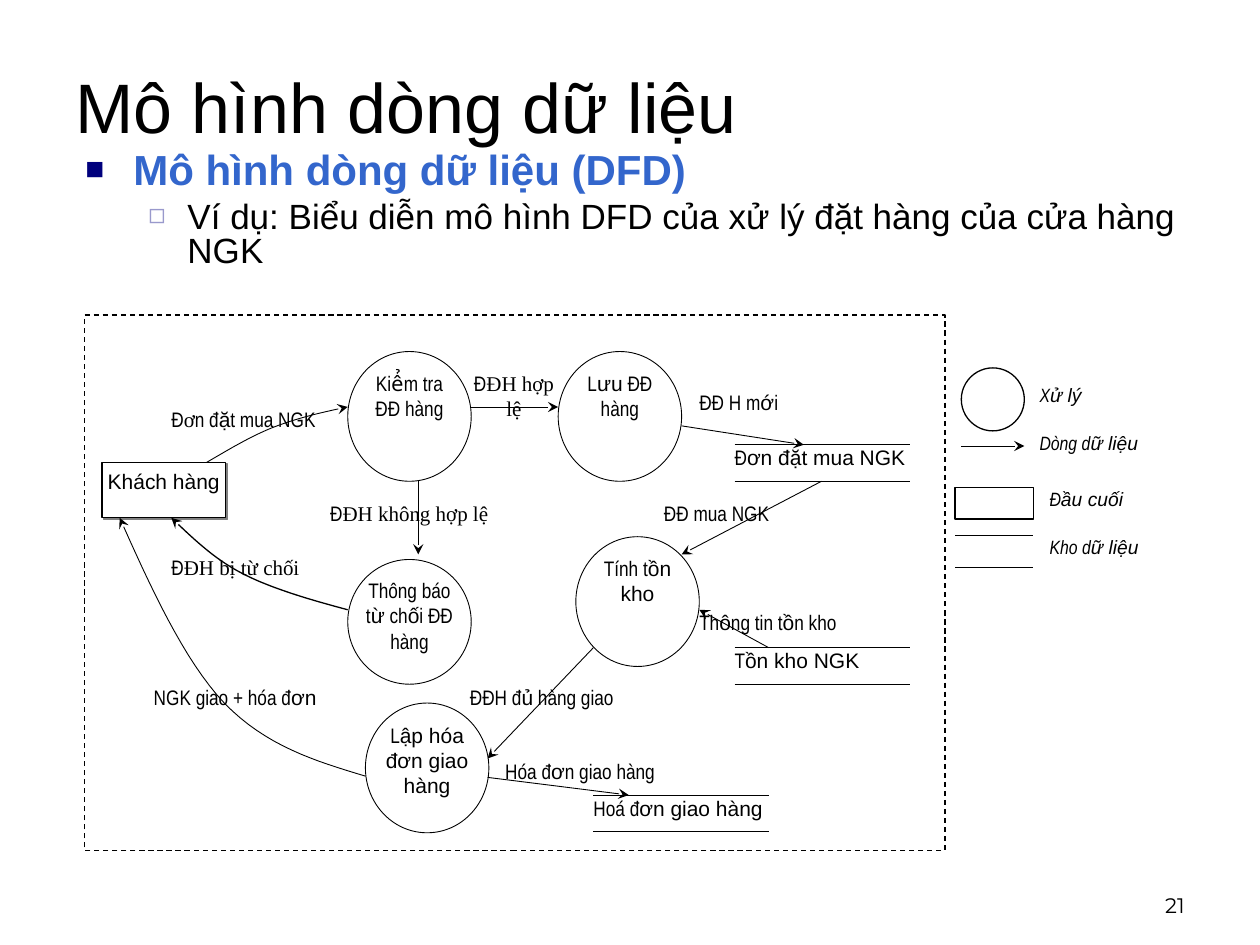
from itertools import cycle

from lxml.etree import SubElement
from pptx import Presentation
from pptx.dml.color import RGBColor
from pptx.enum.dml import MSO_LINE
from pptx.enum.shapes import MSO_CONNECTOR, MSO_SHAPE
from pptx.enum.text import MSO_ANCHOR, PP_ALIGN
from pptx.oxml.ns import qn
from pptx.util import Inches, Pt

COLORS = {"ink": "000000", "paper": "FFFFFF", "heading": "3366CC",
          "square": "00007D", "box": "9999CC", "shadow": "808080"}
NARROW, SANS, SERIF, MONO = "Arial Narrow", "Arial", "Times New Roman", "Noto Sans Mono"
CIRCLE_WIDTH, STORE_WIDTH, STORE_HEIGHT = 0.98, 1.39, 0.29

PROCESSES = [
    (2.76, 2.79, 1.03, "Ki|ể|m tra ĐĐ hàng", MONO),
    (2.76, 4.44, 0.99, "Thông báo t|ừ| ch|ố|i ĐĐ hàng", SANS),
    (4.43, 2.79, 1.03, "L|ưu| ĐĐ hàng", SANS),
    (4.57, 4.26, 1.03, "Tính t|ồn kho", SANS),
    (2.9, 5.58, 1.03, "L|ập hóa đơn giao hàng", SANS),
]
STORES = [
    (5.83, 3.53, "Đ|ơn đặt mua NGK"),
    (5.83, 5.14, "T|ồn kho NGK"),
    (4.71, 6.31, "Hoá đ|ơn giao hàng"),
]
FLOWS = [
    ((3.32, 3.82), (3.32, 4.4)),
    ((3.73, 3.23), (4.43, 3.23)),
    ((5.41, 3.38), (6.38, 3.53)),
    ((6.1, 5.14), (5.55, 4.84)),
    ((6.52, 3.82), (5.41, 4.4)),
    ((4.71, 5.14), (3.87, 6.02)),
    ((3.87, 6.17), (4.99, 6.31)),
]
CURVES = [
    (0.5, [(1.64, 3.67), (1.83, 3.56), (2.01, 3.45), (2.2, 3.38),
           (2.39, 3.31), (2.57, 3.27), (2.76, 3.23)]),
    (0.75, [(2.76, 4.84), (2.46, 4.76), (2.15, 4.67), (1.92, 4.55),
            (1.69, 4.43), (1.53, 4.27), (1.36, 4.11)]),
    (0.5, [(2.9, 6.16), (2.5, 6.04), (2.11, 5.92), (1.78, 5.58),
           (1.46, 5.24), (1.2, 4.67), (0.95, 4.11)]),
]
FLOW_LABELS = [
    (1.36, 3.23, 1.25, "Đ|ơ|n đ|ặ|t mua NGK", (SERIF, SANS)),
    (2.62, 3.97, 1.39, "Đ|ĐH không hợp lệ", (SERIF,)),
    (1.36, 4.4, 1.39, "Đ|ĐH bị từ chối", (SERIF,)),
    (1.22, 5.43, 1.39, "NGK giao + hóa đ|ơn", (SANS,)),
    (3.73, 5.43, 1.53, "ĐĐH đ|ủ| hàng giao", (SANS,)),
    (5.27, 3.97, 1.53, "ĐĐ mua NGK", (SANS,)),
    (5.55, 4.84, 1.53, "Th|ô|ng tin t|ồ|n kho", (SANS,)),
    (5.55, 3.09, 1.53, "ĐĐ H m|ớ|i", (SANS,)),
    (4.01, 6.02, 1.53, "Hóa đ|ơ|n giao hàng", (SANS,)),
]
LEGEND_LABELS = [
    (8.25, 3.04, "X|ử lý"),
    (8.25, 3.42, "Dòng d|ữ liệu"),
    (8.33, 3.87, "Đ|ầu cuối"),
    (8.33, 4.25, "Kho d|ữ liệu"),
]


def rgb(name):
    """Return a named palette colour."""
    return RGBColor.from_string(COLORS[name])


def set_font(font, size, name=None, color="ink", bold=None, italic=None):
    """Set the look of a paragraph font."""
    font.size, font.name, font.bold, font.italic = Pt(size), name, bold, italic
    font.color.rgb = rgb(color)


def set_frame(frame, inset_x=0, inset_y=0, anchor=MSO_ANCHOR.TOP):
    """Set wrapping, insets and anchor of a text frame."""
    frame.word_wrap = True
    frame.margin_left = frame.margin_right = Inches(inset_x)
    frame.margin_top = frame.margin_bottom = Inches(inset_y)
    frame.vertical_anchor = anchor


def add_box(page, left, top, width, height, **frame):
    """Add a text box and return its text frame."""
    box = page.shapes.add_textbox(*map(Inches, (left, top, width, height)))
    set_frame(box.text_frame, **frame)
    return box.text_frame


def write_mixed(para, text, others=(SANS,), size=12, italic=None, align=PP_ALIGN.LEFT):
    """Write parts split by bars, narrow type alternating with the other fonts."""
    para.alignment = align
    set_font(para.font, size, italic=italic)
    names = cycle(name for other in others for name in (NARROW, other))
    for part, name in zip(text.split("|"), names):
        span = para.add_run()
        span.text, span.font.name = part, name


def add_label(page, left, top, width, height, text, **style):
    """Add a diagram label without insets."""
    write_mixed(add_box(page, left, top, width, height).paragraphs[0], text, **style)


def style_line(shape, weight, arrow=False):
    """Set outline colour and weight, with an optional arrowhead at the end."""
    shape.line.color.rgb = rgb("ink")
    shape.line.width = Pt(weight)
    if arrow:
        SubElement(shape.element.find(".//" + qn("a:ln")), qn("a:tailEnd"), type="stealth")


def add_outline(page, kind, left, top, width, height, weight=0.75, filled=True):
    """Add a plain preset shape."""
    shape = page.shapes.add_shape(kind, *map(Inches, (left, top, width, height)))
    shape.shadow.inherit = False
    if filled:
        shape.fill.solid()
        shape.fill.fore_color.rgb = rgb("paper")
    else:
        shape.fill.background()
    style_line(shape, weight)
    return shape


def add_line(page, start, end, arrow=False):
    """Add a straight line between two points."""
    line = page.shapes.add_connector(MSO_CONNECTOR.STRAIGHT, *map(Inches, (*start, *end)))
    style_line(line, 0.5, arrow)
    SubElement(line.element.find(qn("p:spPr")), qn("a:effectLst"))


def add_rails(page, left, top, width, height):
    """Add the two parallel lines of a data store."""
    for y in (top, top + height):
        add_line(page, (left, y), (left + width, y))


def bezier(a, b, c, d, t):
    """Return the point at t on a cubic curve."""
    u = 1 - t
    return tuple(Inches(u**3 * p + 3 * u * u * t * q + 3 * u * t * t * r + t**3 * s)
                 for p, q, r, s in zip(a, b, c, d))


def add_curve(page, weight, points, steps=16):
    """Add a curved flow arrow through chained cubic segments."""
    builder = page.shapes.build_freeform(*map(Inches, points[0]))
    builder.add_line_segments(
        [bezier(*points[i:i + 4], step / steps)
         for i in range(0, len(points) - 1, 3) for step in range(1, steps + 1)], close=False)
    curve = builder.convert_to_shape()
    curve.shadow.inherit = False
    curve.fill.background()
    style_line(curve, weight, arrow=True)


def add_bullet(para, char, color, size, left, hang):
    """Give a paragraph a hanging bullet."""
    props = para._p.get_or_add_pPr()
    props.set("marL", str(Inches(left)))
    props.set("indent", str(-Inches(hang)))
    SubElement(SubElement(props, qn("a:buClr")), qn("a:srgbClr"), val=COLORS[color])
    SubElement(props, qn("a:buSzPct"), val=str(size * 1000))
    SubElement(props, qn("a:buFont"), typeface=SANS)
    SubElement(props, qn("a:buChar"), char=char)


def add_headings(page):
    """Add the title, the bulleted text and the page number."""
    para = add_box(page, 0.5, 0.5, 9, 0.67, inset_x=0.1, inset_y=0.05,
                   anchor=MSO_ANCHOR.MIDDLE).paragraphs[0]
    para.text = "Mô hình dòng dữ liệu"
    set_font(para.font, 40, SANS)

    body = add_box(page, 0.58, 1.17, 9, 1.08, inset_x=0.1, inset_y=0.05)
    first, second = body.paragraphs[0], body.add_paragraph()
    first.text = "Mô hình dòng dữ liệu (DFD)"
    second.text = "Ví dụ: Biểu diễn mô hình DFD của xử lý đặt hàng của cửa hàng NGK"
    second.level = 1
    first.line_spacing = second.line_spacing = 0.8
    second.space_before = Pt(5)
    add_bullet(first, "■", "square", 75, 0.38, 0.38)
    add_bullet(second, "◻", "box", 80, 0.81, 0.31)
    set_font(first.font, 24, SANS, "heading", bold=True)
    set_font(second.font, 20, SANS)

    number = add_box(page, 7.17, 6.83, 2.33, 0.5, inset_x=0.1, inset_y=0.05,
                     anchor=MSO_ANCHOR.BOTTOM).paragraphs[0]
    number.text = "21"
    number.alignment = PP_ALIGN.RIGHT
    set_font(number.font, 12, "Montserrat")


def add_customer(page):
    """Add the shadowed customer box."""
    box = add_outline(page, MSO_SHAPE.RECTANGLE, 0.81, 3.67, 0.98, 0.44)
    effects = box.element.find(".//" + qn("a:effectLst"))
    shadow = SubElement(effects, qn("a:outerShdw"), dist=str(Pt(1.4)), dir="2700000")
    SubElement(shadow, qn("a:srgbClr"), val=COLORS["shadow"])
    set_frame(box.text_frame, inset_y=0.05)
    para = box.text_frame.paragraphs[0]
    para.text = "Khách hàng"
    para.alignment = PP_ALIGN.CENTER
    set_font(para.font, 12, SANS)


def add_diagram(page):
    """Add the data flow diagram inside its dashed frame."""
    add_customer(page)
    for left, top, height, text, other in PROCESSES:
        circle = add_outline(page, MSO_SHAPE.OVAL, left, top, CIRCLE_WIDTH, height, 0.5)
        set_frame(circle.text_frame)
        write_mixed(circle.text_frame.paragraphs[0], text, (other,), align=PP_ALIGN.CENTER)
    for left, top, text in STORES:
        add_rails(page, left, top, STORE_WIDTH, STORE_HEIGHT)
        add_label(page, left, top, STORE_WIDTH, STORE_HEIGHT, text)
    for start, end in FLOWS:
        add_line(page, start, end, arrow=True)
    for weight, points in CURVES:
        add_curve(page, weight, points)
    for left, top, width, text, others in FLOW_LABELS:
        add_label(page, left, top, width, 0.29, text, others=others)
    add_label(page, 3.73, 2.94, 0.7, 0.44, "Đ|ĐH hợp lệ", others=(SERIF,), align=PP_ALIGN.CENTER)
    frame = add_outline(page, MSO_SHAPE.RECTANGLE, 0.67, 2.5, 6.83, 4.25, filled=False)
    frame.line.dash_style = MSO_LINE.DASH


def add_legend(page):
    """Add the key to the symbols."""
    add_outline(page, MSO_SHAPE.OVAL, 7.63, 2.92, 0.5, 0.5)
    add_line(page, (7.63, 3.54), (8.13, 3.54), arrow=True)
    add_outline(page, MSO_SHAPE.RECTANGLE, 7.58, 3.87, 0.62, 0.25)
    add_rails(page, 7.58, 4.25, 0.62, 0.25)
    for left, top, text in LEGEND_LABELS:
        add_label(page, left, top, 1.38, 0.25, text, size=11, italic=True)


def main():
    """Build and save the slide."""
    deck = Presentation()
    deck.slide_width, deck.slide_height = Inches(10), Inches(7.5)
    page = deck.slides.add_slide(deck.slide_layouts[6])
    add_headings(page)
    add_diagram(page)
    add_legend(page)
    deck.save("out.pptx")


if __name__ == "__main__":
    main()
